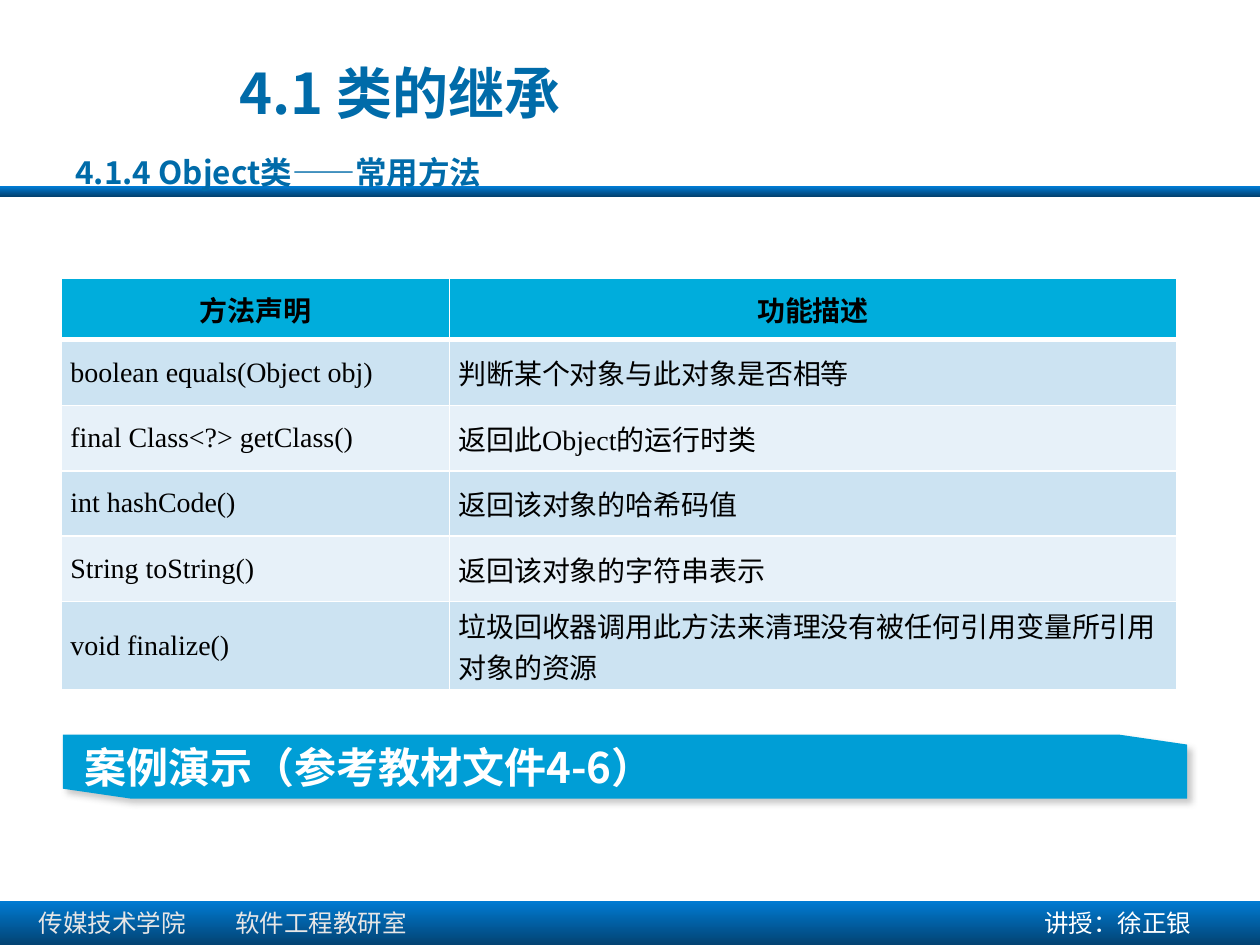
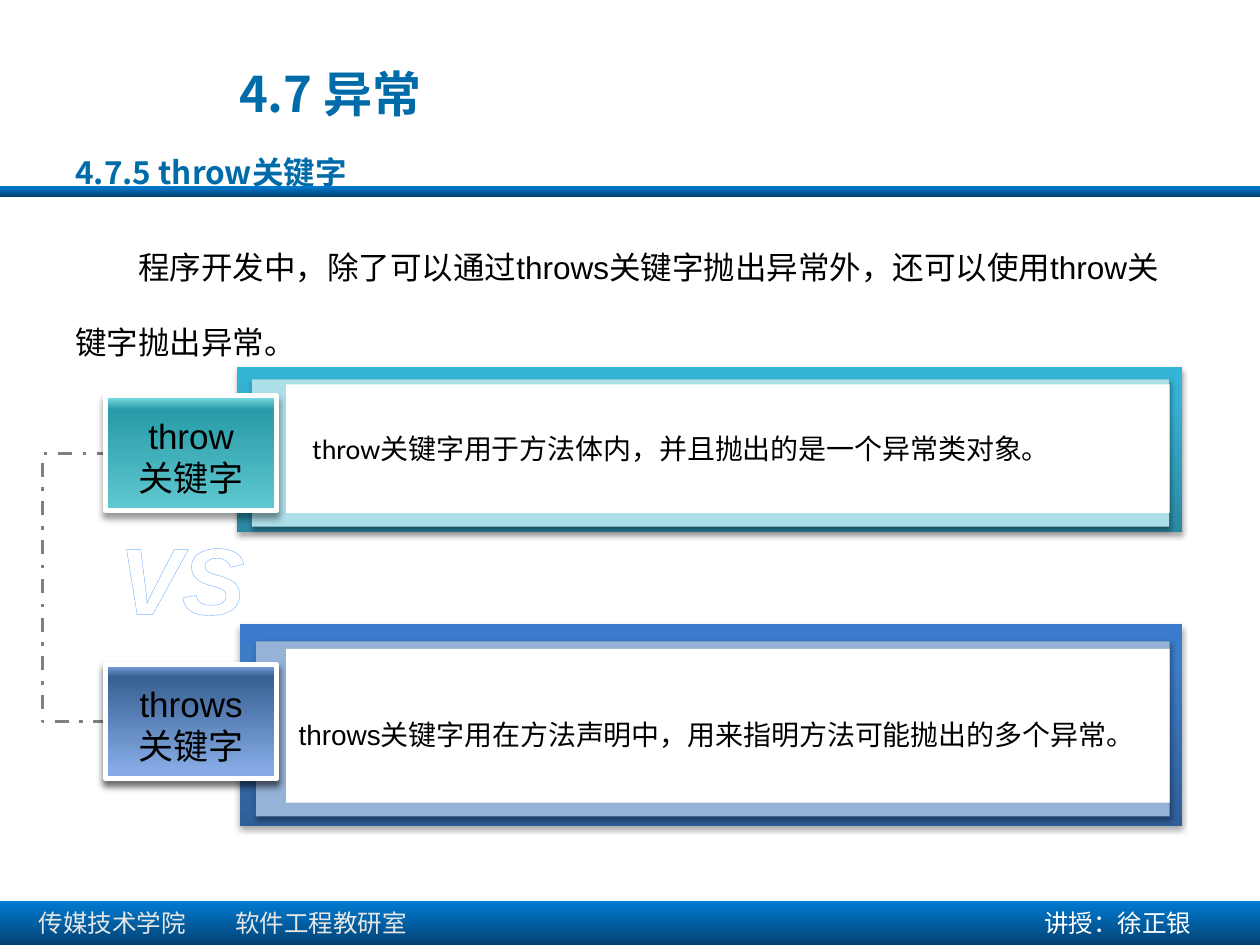
from lxml import etree
from pptx import Presentation
from pptx import util as u
from pptx.dml import color
from pptx.enum import dml, shapes, text
from pptx.oxml import ns

COLORS = {
    "heading": "006BA9", "black": "000000", "white": "FFFFFF", "footer": "E7E6E6",
    "header_row": "00ADDC", "odd_row": "CCE3F2", "even_row": "E7F1F9",
    "banner": "009ED6", "gray": "808080", "glow": "7DB8FF",
    "teal_inner": "ADDFE9", "blue_inner": "95B3D7",
}
BAND = [(0, "007BD3"), (100, "034373")]
CJK_FONT = "Noto Sans CJK SC"
LEFT, CENTER = text.PP_ALIGN.LEFT, text.PP_ALIGN.CENTER
TOP, MIDDLE = text.MSO_ANCHOR.TOP, text.MSO_ANCHOR.MIDDLE


def rgb(name):
    return color.RGBColor.from_string(COLORS[name])


def add_element(parent, tag, index=None, **attributes):
    element = etree.Element(ns.qn(tag), {k: str(v) for k, v in attributes.items()})
    parent.insert(len(parent) if index is None else index, element)
    return element


def add_color(parent, value, alpha=None):
    element = add_element(parent, "a:srgbClr", val=value)
    if alpha is not None:
        add_element(element, "a:alpha", val=alpha * 1000)


def add_outline(parent, name, width, tag="a:ln", index=0):
    line = add_element(parent, tag, index, w=u.Pt(width))
    add_color(add_element(line, "a:solidFill"), COLORS[name])


# Text
def write_text(frame, content, size=18, font="Arial", ink="black", bold=False,
               italic=False, align=LEFT, anchor=TOP, spacing=None, indent=0,
               wrap=True, outline=None):
    frame.word_wrap = wrap
    frame.vertical_anchor = anchor
    for number, line in enumerate(content.split("\n")):
        para = frame.add_paragraph() if number else frame.paragraphs[0]
        para.alignment = align
        if spacing:
            para.line_spacing = spacing
        if indent:
            para._p.get_or_add_pPr().set("indent", str(u.Cm(indent)))
        span = para.add_run()
        span.text = line
        span.font.size = u.Pt(size)
        span.font.name = font
        span.font.bold = bold
        span.font.italic = italic
        span.font.color.rgb = rgb(ink)
        properties = span._r.get_or_add_rPr()
        add_element(properties, "a:ea", typeface=CJK_FONT)
        if outline:
            add_outline(properties, *outline)


def add_text(page, place, content, **style):
    box = page.shapes.add_textbox(*map(u.Cm, place))
    write_text(box.text_frame, content, **style)


# Shapes
def fill_gradient(shape, stops, angle):
    shape.fill.gradient()
    gradient = shape._element.spPr.find(ns.qn("a:gradFill"))
    stop_list = gradient.find(ns.qn("a:gsLst"))
    for stop in list(stop_list):
        stop_list.remove(stop)
    for position, value in stops:
        add_color(add_element(stop_list, "a:gs", pos=position * 1000), value)
    gradient.find(ns.qn("a:lin")).set("ang", str(angle * 60000))


def finish_shape(shape, fill=None, gradient=None, angle=90, line=None, width=1, shadow=None):
    if gradient:
        fill_gradient(shape, gradient, angle)
    elif fill:
        shape.fill.solid()
        shape.fill.fore_color.rgb = rgb(fill)
    else:
        shape.fill.background()
    if line:
        shape.line.color.rgb = rgb(line)
        shape.line.width = u.Pt(width)
    else:
        shape.line.fill.background()
    shape.shadow.inherit = False
    if shadow:
        name, alpha, blur, distance, direction = shadow
        effects = shape._element.spPr.find(ns.qn("a:effectLst"))
        outer = add_element(effects, "a:outerShdw", blurRad=u.Pt(blur), dist=u.Pt(distance),
                            dir=direction * 60000, algn="ctr", rotWithShape=0)
        add_color(outer, COLORS[name], alpha)


def add_rectangle(page, place, **style):
    shape = page.shapes.add_shape(shapes.MSO_SHAPE.RECTANGLE, *map(u.Cm, place))
    finish_shape(shape, **style)


def add_outline_shape(page, points, close, **style):
    corners = [(u.Cm(x), u.Cm(y)) for x, y in points]
    builder = page.shapes.build_freeform(*corners[0])
    builder.add_line_segments(corners[1:], close=close)
    shape = builder.convert_to_shape()
    finish_shape(shape, **style)
    return shape


# Bands, footer and headings of every page
def add_page(deck, title, subtitle, title_size):
    page = deck.slides.add_slide(deck.slide_layouts[6])
    for top, height in ((3.76, 0.2), (18.16, 0.89)):
        add_rectangle(page, (0, top, 25.4, height), gradient=BAND)
    for left, width, content, ink in ((0.53, 3.9, "传媒技术学院", "footer"),
                                      (4.49, 5.1, "软件工程教研室", "footer"),
                                      (20.8, 4.52, "讲授：徐正银", "white")):
        add_text(page, (left, 18.19, width, 0.86), content, size=14, ink=ink)
    heading = dict(font=CJK_FONT, ink="heading", bold=True)
    add_text(page, (4.57, 1.09, 13.74, 1.55), title, size=title_size, anchor=MIDDLE, **heading)
    add_text(page, (1.27, 2.97, 22.86, 1.8), subtitle, **heading)
    return page


def add_method_table(page, rows):
    widths = (7.82, 14.66)
    heights = (1.24, 1.32, 1.32, 1.32, 1.32, 1.78)
    place = (1.24, 5.61, sum(widths), sum(heights))
    table = page.shapes.add_table(len(rows), 2, *map(u.Cm, place)).table
    for column, width in zip(table.columns, widths):
        column.width = u.Cm(width)
    for r, (row, height) in enumerate(zip(rows, heights)):
        table.rows[r].height = u.Cm(height)
        fill = "header_row" if r == 0 else "odd_row" if r % 2 else "even_row"
        for c, content in enumerate(row):
            cell = table.cell(r, c)
            cell.margin_left = cell.margin_right = u.Cm(0.18)
            cell.margin_top = cell.margin_bottom = 0
            cell.fill.solid()
            cell.fill.fore_color.rgb = rgb(fill)
            write_text(cell.text_frame, content, size=16, bold=r == 0,
                       font="Times New Roman" if r else "Calibri",
                       align=LEFT if r else CENTER)
            cell.vertical_anchor = MIDDLE
            borders = (("L", 1), ("R", 1), ("T", 3 if r == 1 else 1), ("B", 1 if r else 3))
            for index, (side, width) in enumerate(borders):
                add_outline(cell._tc.get_or_add_tcPr(), "white", width, f"a:ln{side}", index)


def add_banner(page, content):
    left, top, right, bottom = 1.27, 14.81, 23.93, 16.1
    snip_x, snip_y = 1.37, 0.2
    points = [(left, top), (right - snip_x, top), (right, top + snip_y),
              (right, bottom), (left + snip_x, bottom), (left, bottom - snip_y)]
    banner = add_outline_shape(page, points, True, fill="banner",
                               shadow=("gray", 43, 4, 3, 45))
    banner.text_frame.margin_left = u.Cm(0.43)
    write_text(banner.text_frame, content, size=24, font=CJK_FONT, ink="white",
               bold=True, anchor=MIDDLE)


def add_keyword_panel(page, keyword, frame, inner, panel, frame_stops, inner_fill,
                      badge_top, badge_stops, badge_alpha, note, note_place, **note_style):
    add_rectangle(page, frame, gradient=frame_stops, angle=270,
                  shadow=("black", 35, 3.1, 1.8, 90))
    add_rectangle(page, inner, fill=inner_fill, shadow=("black", 38, 3.1, 1.6, 90))
    add_rectangle(page, panel, fill="white")
    add_rectangle(page, (2.13, badge_top, 3.45, 2.31), gradient=badge_stops, line="white",
                  width=3, shadow=("black", badge_alpha, 4, 3, 90))
    add_text(page, note_place, note, size=16, **note_style)
    add_text(page, (2.13, badge_top + 0.25, 3.45, 1.96), f"{keyword}\n关键字",
             size=20, align=CENTER)


def build_object_page(deck):
    page = add_page(deck, "4.1 类的继承", "4.1.4 Object类——常用方法", 32)
    add_method_table(page, [
        ("方法声明", "功能描述"),
        ("boolean equals(Object obj)", "判断某个对象与此对象是否相等"),
        ("final Class<?> getClass()", "返回此Object的运行时类"),
        ("int hashCode()", "返回该对象的哈希码值"),
        ("String toString()", "返回该对象的字符串表示"),
        ("void finalize()", "垃圾回收器调用此方法来清理没有被任何引用变量所引用对象的资源"),
    ])
    add_banner(page, "案例演示（参考教材文件4-6）")


def build_throw_page(deck):
    page = add_page(deck, "4.7 异常", "4.7.5 throw关键字", 28)
    add_text(page, (1.27, 4.11, 22.86, 3.33),
             "程序开发中，除了可以通过throws关键字抛出异常外，还可以使用throw关键字抛出异常。",
             spacing=2.0, indent=1.27)

    # Bracket that joins the two keywords
    bracket = add_outline_shape(page, [(2.95, 14.55), (0.86, 14.55), (0.86, 9.14), (3.1, 9.14)],
                                False, line="gray", width=2)
    bracket.line.dash_style = dml.MSO_LINE.DASH_DOT

    add_keyword_panel(
        page, "throw", frame=(4.78, 7.39, 19.05, 3.33), inner=(5.08, 7.65, 18.49, 2.97),
        panel=(5.77, 7.75, 17.81, 2.59), inner_fill="teal_inner",
        frame_stops=[(0, "2A88A2"), (80, "37B1D2"), (100, "34B4D6")],
        badge_top=7.98, badge_alpha=40,
        badge_stops=[(0, "85E6EB"), (12, "279BA7"), (100, "61C9D1")],
        note="throw关键字用于方法体内，并且抛出的是一个异常类对象。",
        note_place=(6.05, 8.38, 17.53, 1.14), font="Calibri", spacing=1.3)
    throws_panel = (5.77, 13.08, 17.81, 3.1)
    add_keyword_panel(
        page, "throws", frame=(4.83, 12.57, 19, 4.09), inner=(5.16, 12.93, 18.42, 3.53),
        panel=throws_panel, inner_fill="blue_inner",
        frame_stops=[(0, "2F5F99"), (80, "3D7CC7"), (100, "3A7CCB")],
        badge_top=13.39, badge_alpha=57,
        badge_stops=[(0, "86ABE6"), (11, "376092"), (93, "86ABE6")],
        note="throws关键字用在方法声明中，用来指明方法可能抛出的多个异常。",
        note_place=throws_panel, spacing=1.5, anchor=MIDDLE)
    add_text(page, (2.13, 10.36, 3.07, 2.57), "VS", size=54, ink="white", bold=True,
             italic=True, align=CENTER, wrap=False, outline=("glow", 2.48))


def main():
    deck = Presentation()
    deck.slide_width, deck.slide_height = u.Cm(25.4), u.Cm(19.05)
    build_object_page(deck)
    build_throw_page(deck)
    deck.save("out.pptx")


if __name__ == "__main__":
    main()
